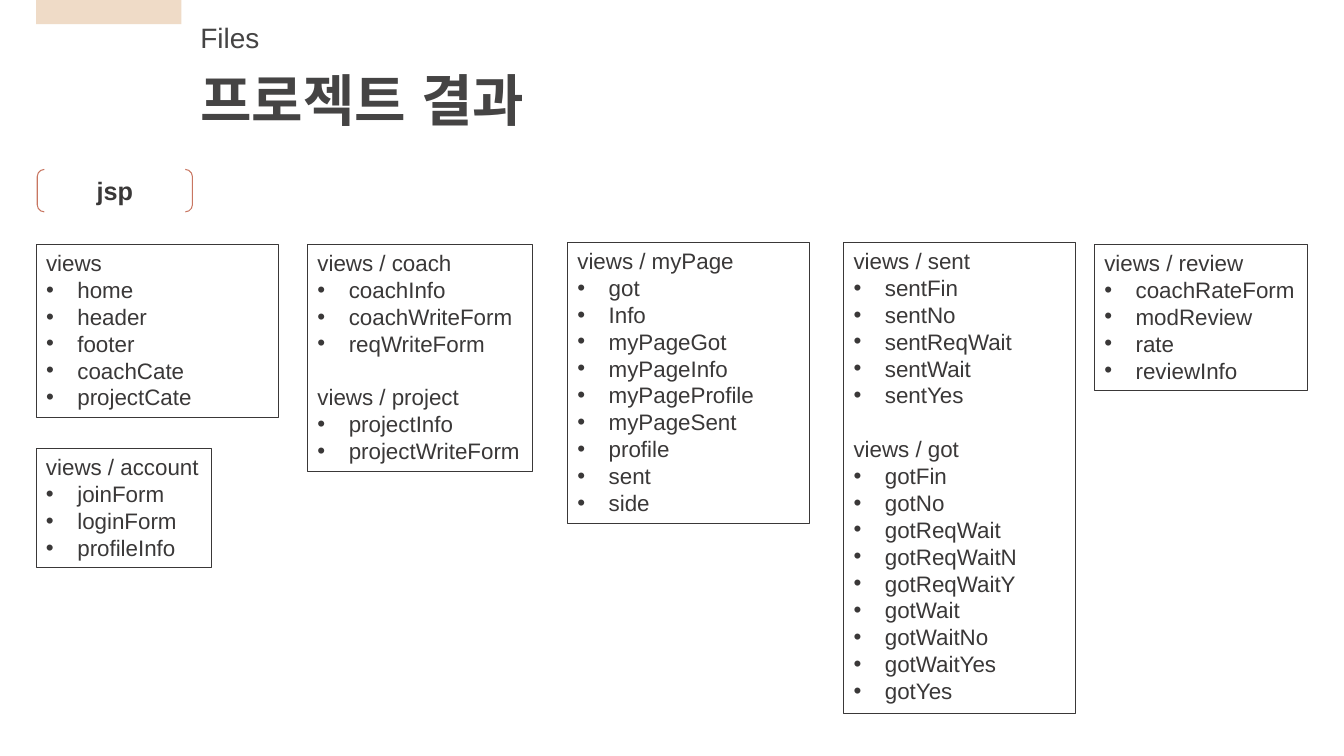
import lxml.etree
import pptx
import pptx.dml.color
import pptx.enum.shapes
import pptx.enum.text
import pptx.oxml.ns
import pptx.util

Cm, Pt = pptx.util.Cm, pptx.util.Pt
RGB = pptx.dml.color.RGBColor.from_string
SHAPE = pptx.enum.shapes.MSO_SHAPE
ANCHOR = pptx.enum.text.MSO_ANCHOR
ALIGN = pptx.enum.text.PP_ALIGN
qn = pptx.oxml.ns.qn

COLORS = {"tab": "EFDBC7", "title": "454444", "text": "3A3838", "bracket": "C87661"}
FONT = "Arial"
LINE_PITCH = Pt(19.2)
INDENT = Cm(0.79)


def write(p, text, size=16, color="text", bold=False, align=ALIGN.LEFT, bullet=False, before=0):
    """Fill paragraph p with one formatted run, with or without a bullet."""
    p.alignment = align
    p.space_before = before
    pPr = p._p.get_or_add_pPr()
    pPr.set("marL", str(INDENT if bullet else 0))
    pPr.set("indent", str(-INDENT if bullet else 0))
    if bullet:
        lxml.etree.SubElement(pPr, qn("a:buFont")).set("typeface", FONT)
        lxml.etree.SubElement(pPr, qn("a:buChar")).set("char", "•")
    else:
        lxml.etree.SubElement(pPr, qn("a:buNone"))
    r = p.add_run()
    r.text = text
    r.font.name, r.font.size, r.font.bold = FONT, Pt(size), bold
    r.font.color.rgb = RGB(COLORS[color])
    lxml.etree.SubElement(r._r.get_or_add_rPr(), qn("a:ea")).set("typeface", FONT)


def place(sp, left, top, width, height, anchor=ANCHOR.TOP):
    """Position a text shape and set its frame."""
    sp.left, sp.top, sp.width, sp.height = map(Cm, (left, top, width, height))
    tf = sp.text_frame
    tf.word_wrap = True
    tf.auto_size = pptx.enum.text.MSO_AUTO_SIZE.NONE
    tf.vertical_anchor = anchor
    tf.margin_left, tf.margin_right = Cm(0.25), Cm(0.1)
    tf.margin_top = tf.margin_bottom = Cm(0.13)
    return tf


prs = pptx.Presentation()
prs.slide_width, prs.slide_height = Cm(33.87), Cm(19.05)
s = prs.slides.add_slide(prs.slide_layouts.get_by_name("Comparison"))
title, *bodies = [ph for ph in s.placeholders]

# Heading
tab = s.shapes.add_shape(SHAPE.RECTANGLE, Cm(0.91), 0, Cm(3.66), Cm(0.61))
tab.shadow.inherit = False
tab.fill.solid()
tab.fill.fore_color.rgb = RGB(COLORS["tab"])
tab.line.fill.background()

tf = place(s.shapes.add_textbox(0, 0, 0, 0), 4.8, 0.38, 3.1, 1.12)
write(tf.paragraphs[0], "Files", size=20, color="title")
tf = place(title, 4.8, 1.52, 11.05, 1.96, ANCHOR.MIDDLE)
write(tf.paragraphs[0], "프로젝트 결과", size=40, color="title", bold=True)

# File type label
label = s.shapes.add_shape(SHAPE.DOUBLE_BRACKET, 0, 0, 0, 0)
label.shadow.inherit = False
label.fill.background()
label.line.color.rgb = RGB(COLORS["bracket"])
label.line.width = Pt(0.75)
tf = place(label, 0.94, 4.27, 3.91, 1.07, ANCHOR.MIDDLE)
tf.margin_right = tf.margin_left
write(tf.paragraphs[0], "jsp", size=18, bold=True, align=ALIGN.CENTER)

# Folder boxes: position, then each folder with its files
boxes = [
    ((0.91, 6.15, 6.1, 4.37),
     {"views": "home header footer coachCate projectCate"}),
    ((7.75, 6.15, 5.66, 5.74),
     {"views / coach": "coachInfo coachWriteForm reqWriteForm",
      "views / project": "projectInfo projectWriteForm"}),
    ((14.3, 6.1, 6.1, 7.09),
     {"views / myPage": "got Info myPageGot myPageInfo myPageProfile myPageSent "
                        "profile sent side"}),
    ((21.26, 6.1, 5.84, 11.89),
     {"views / sent": "sentFin sentNo sentReqWait sentWait sentYes",
      "views / got": "gotFin gotNo gotReqWait gotReqWaitN gotReqWaitY gotWait "
                     "gotWaitNo gotWaitYes gotYes"}),
    ((27.58, 6.15, 5.36, 3.68),
     {"views / review": "coachRateForm modReview rate reviewInfo"}),
    ((0.91, 11.3, 4.42, 3),
     {"views / account": "joinForm loginForm profileInfo"}),
]
for position, folders in boxes:
    sp = bodies.pop(0) if bodies else s.shapes.add_textbox(0, 0, 0, 0)
    sp.line.color.rgb = RGB(COLORS["text"])
    sp.line.width = Pt(0.75)
    tf = place(sp, *position)
    p = tf.paragraphs[0]
    for i, (folder, files) in enumerate(folders.items()):
        if i:
            p = tf.add_paragraph()
        write(p, folder, before=LINE_PITCH if i else 0)
        for name in files.split():
            write(tf.add_paragraph(), name, bullet=True)
    for p in tf.paragraphs:
        p.line_spacing = LINE_PITCH

prs.save("out.pptx")
